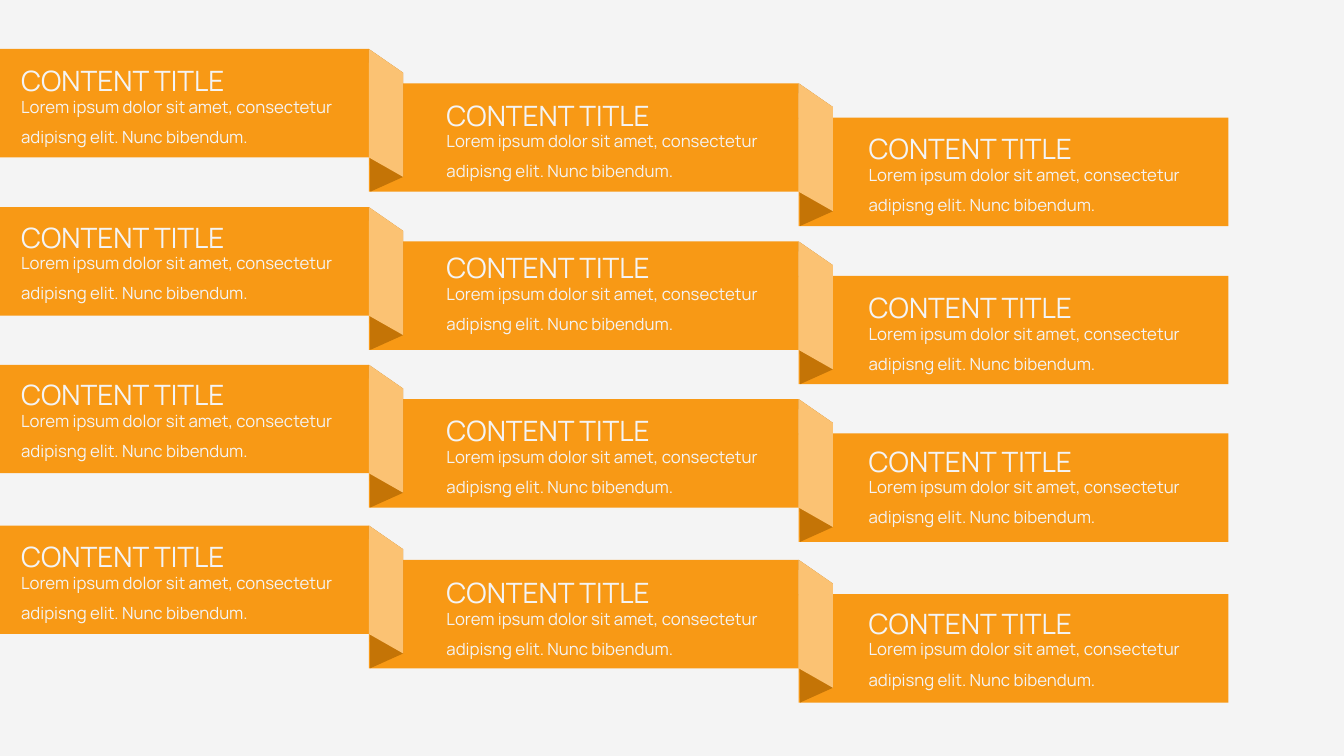
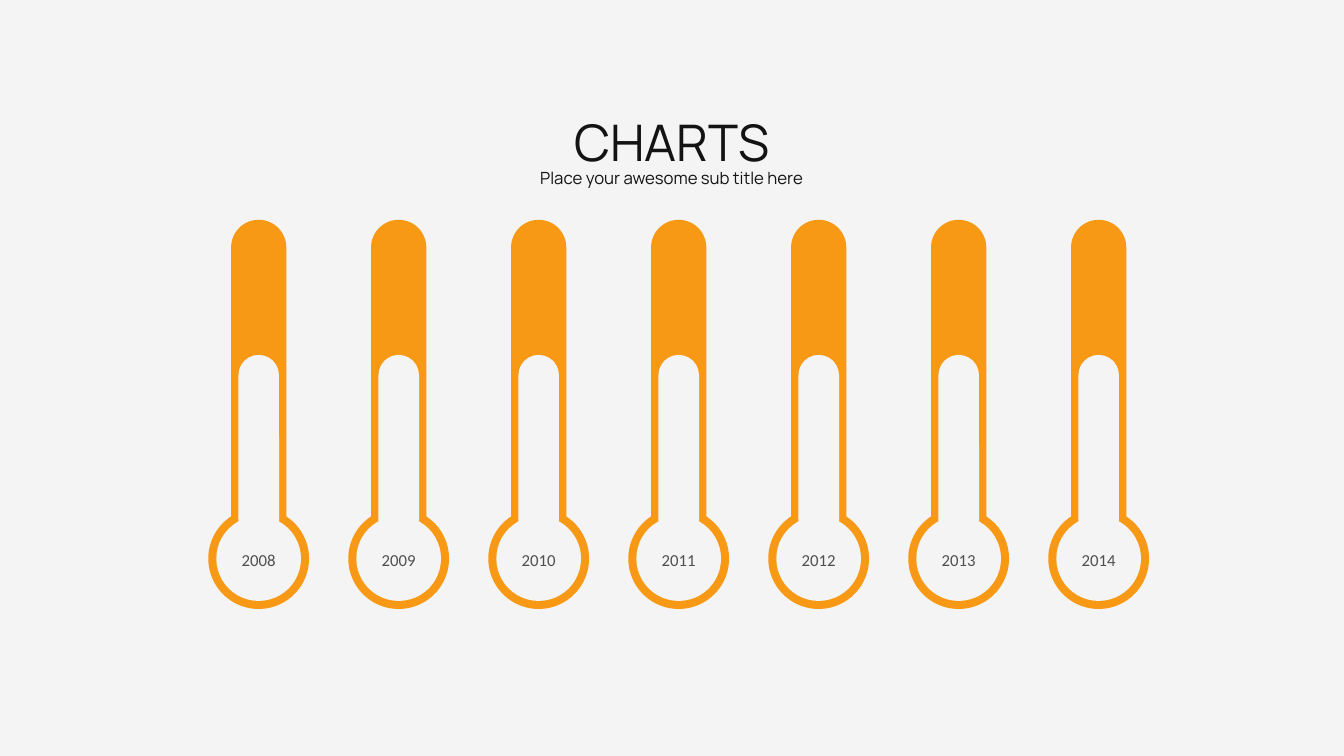
from dataclasses import dataclass

from pptx import Presentation
from pptx.dml.color import RGBColor
from pptx.enum.shapes import MSO_SHAPE
from pptx.enum.text import MSO_ANCHOR, MSO_AUTO_SIZE, PP_ALIGN
from pptx.util import Pt

RECT, OVAL, ROUND = MSO_SHAPE.RECTANGLE, MSO_SHAPE.OVAL, MSO_SHAPE.ROUNDED_RECTANGLE
LEFT, CENTER = PP_ALIGN.LEFT, PP_ALIGN.CENTER
TOP = MSO_ANCHOR.TOP
GROW, FIXED = MSO_AUTO_SIZE.SHAPE_TO_FIT_TEXT, MSO_AUTO_SIZE.NONE


@dataclass(frozen=True)
class Theme:
    paper: str = "F4F4F4"
    band: str = "F89915"
    light: str = "FBC273"
    dark: str = "C47406"
    ink: str = "131313"
    grey: str = "4F4F52"
    font: str = "Manrope"
    plain: str = "Calibri"
    title: int = 36
    head: int = 20
    body: int = 12
    space: float = 1.5


THEME = Theme()

HEAD = "CONTENT TITLE"
BODY = "Lorem ipsum dolor sit amet, consectetur adipisng elit. Nunc bibendum."

# Ribbon panels: left, width, text left
PANELS = [(0, 263.5, 8), (263.5, 307, 311.8), (570.5, 307, 613.4)]
HEIGHT, DROP, FOLD = 77.5, 24.5, 24.5
# Ribbon rows: top, rise of each heading above its panel
ROWS = [
    (35, (4.8, 4.8, 5.5)),
    (148, (6.2, 9, 4.8)),
    (260.6, (6.4, 5, 7.9)),
    (375.4, (5.3, 4, 6.8)),
]
YEARS = range(2008, 2015)


def paint(shape, color):
    shape.shadow.inherit = False
    shape.fill.solid()
    shape.fill.fore_color.rgb = RGBColor.from_string(color)
    shape.line.fill.background()


def block(shapes, kind, x, y, w, h, color):
    shape = shapes.add_shape(kind, Pt(x), Pt(y), Pt(w), Pt(h))
    if kind == ROUND:
        shape.adjustments[0] = 0.5
    paint(shape, color)


def outline(shapes, points, color):
    start, *rest = [(Pt(x), Pt(y)) for x, y in points]
    pen = shapes.build_freeform(*start)
    pen.add_line_segments(rest, close=True)
    paint(pen.convert_to_shape(), color)


def style(frame, text, size, color, align=LEFT, font=THEME.font, space=THEME.space):
    frame.word_wrap = True
    frame.vertical_anchor = TOP
    frame.text = text
    para = frame.paragraphs[0]
    para.alignment = align
    para.line_spacing = space
    para.font.size = Pt(size)
    para.font.name = font
    para.font.color.rgb = RGBColor.from_string(color)


def label(shapes, x, y, w, h, *args, **opts):
    frame = shapes.add_textbox(Pt(x), Pt(y), Pt(w), Pt(h)).text_frame
    style(frame, *args, **opts)
    frame.auto_size = GROW


def fold(shapes, x, y):
    """Draw the turned strip that joins two panels, from its top left corner."""
    edge = [(x, y), (x + FOLD, y + 17), (x + FOLD, y + 91.4)]
    outline(shapes, edge + [(x + 1, y + HEIGHT + DROP)], THEME.dark)
    outline(shapes, edge + [(x, y + HEIGHT)], THEME.light)


def ribbon(slide, top, rises):
    shapes = slide.shapes.add_group_shape().shapes
    tops = [top + i * DROP for i in range(len(PANELS))]
    for (x, w, _), y in zip(PANELS, tops):
        block(shapes, RECT, x, y, w, HEIGHT, THEME.band)
    for (x, w, _), y in zip(PANELS[:-1], tops):
        fold(shapes, x + w, y)
    for (_, _, x), y, rise in zip(PANELS, tops, rises):
        label(slide.shapes, x, y - rise + 28.1, 246.2, 51, BODY, THEME.body, THEME.paper)
        label(slide.shapes, x, y - rise, 246.2, 44, HEAD, THEME.head, THEME.paper)


def gauge(slide, x, y, year):
    """Draw a thermometer centred on x, with its top at y."""
    shapes = slide.shapes.add_group_shape().shapes
    parts = [
        (OVAL, 206, 72, 72, THEME.band),
        (ROUND, 0, 39.5, 255, THEME.band),
        (OVAL, 211.75, 60.5, 60.5, THEME.paper),
        (ROUND, 96.5, 29, 133, THEME.paper),
    ]
    for kind, down, w, h, color in parts:
        block(shapes, kind, x - w / 2, y + down, w, h, color)
    label(shapes, x - 30.25, y + 232, 60.5, 21.8, str(year), THEME.body,
          THEME.grey, CENTER, font=THEME.plain, space=1)


def ribbons(deck):
    slide = deck.slides.add_slide(deck.slide_layouts[6])
    for top, rises in ROWS:
        ribbon(slide, top, rises)


def charts(deck):
    slide = deck.slides.add_slide(deck.slide_layouts[5])
    title = slide.shapes.title
    title.left, title.top, title.width, title.height = Pt(44.6), Pt(54), Pt(870.5), Pt(72.7)
    style(title.text_frame, "CHARTS", THEME.title, THEME.ink, CENTER)
    title.text_frame.auto_size = FIXED
    label(slide.shapes, 44.6, 109.4, 870.5, 32, "Place your awesome sub title here",
          THEME.body, THEME.ink, CENTER)
    for i, year in enumerate(YEARS):
        gauge(slide, 184.8 + 100 * i, 157, year)


def main():
    deck = Presentation()
    deck.slide_width, deck.slide_height = Pt(960), Pt(540)
    fill = deck.slide_master.background.fill
    fill.solid()
    fill.fore_color.rgb = RGBColor.from_string(THEME.paper)
    ribbons(deck)
    charts(deck)
    deck.save("out.pptx")


if __name__ == "__main__":
    main()
